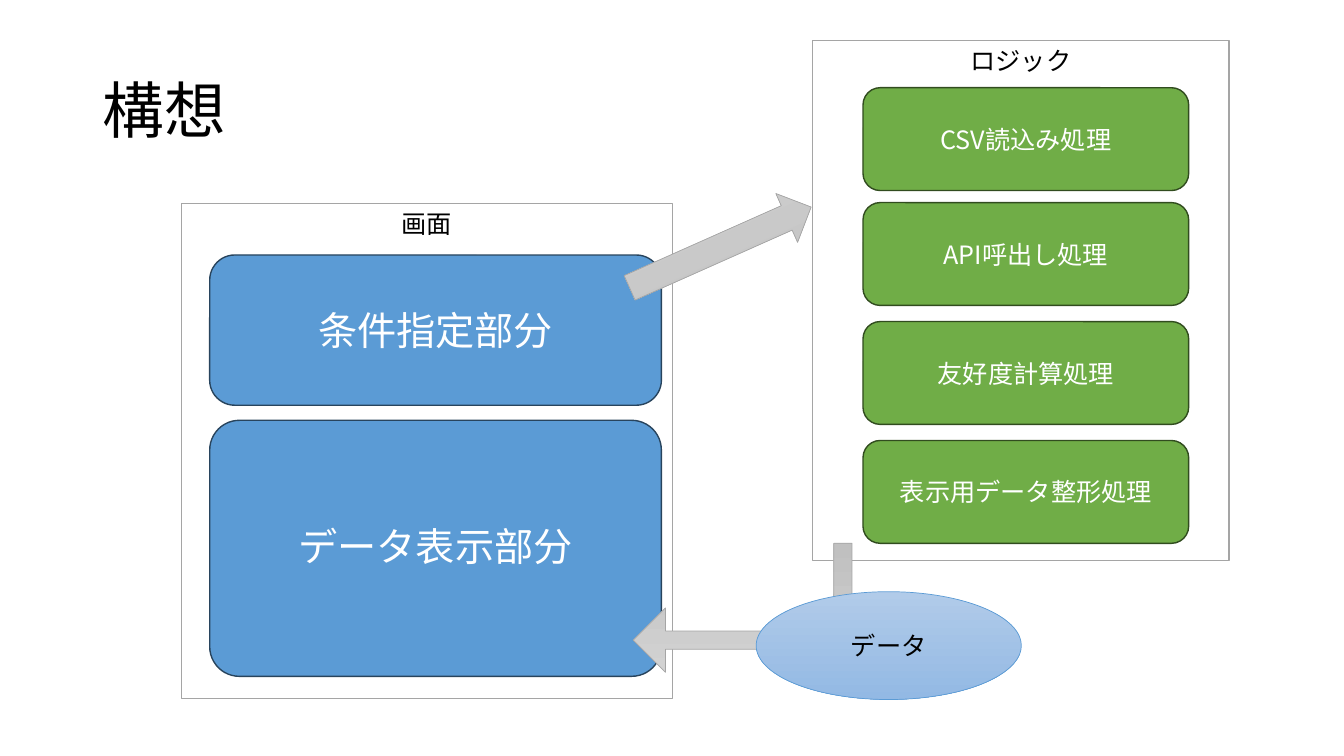
"""Build the concept slide linking the screen, the logic and the data."""
from lxml.etree import SubElement
from pptx import Presentation
from pptx.dml.color import RGBColor
from pptx.enum.shapes import MSO_SHAPE as SHAPE
from pptx.enum.text import MSO_ANCHOR as ANCHOR, MSO_AUTO_SIZE as AUTO, PP_ALIGN as ALIGN
from pptx.oxml.ns import qn
from pptx.util import Inches, Pt

FONT = "Noto Sans CJK JP"
BLACK = RGBColor(0x00, 0x00, 0x00)
WHITE = RGBColor(0xFF, 0xFF, 0xFF)
GRAY = RGBColor(0xA5, 0xA5, 0xA5)
BLUE = RGBColor(0x5B, 0x9B, 0xD5)
DARK_BLUE = RGBColor(0x28, 0x44, 0x5D)
GREEN = RGBColor(0x70, 0xAD, 0x47)
DARK_GREEN = RGBColor(0x31, 0x4C, 0x1F)
GRAY_FADE = (RGBColor(0xD2, 0xD2, 0xD2), RGBColor(0xC0, 0xC0, 0xC0))
BLUE_FADE = (RGBColor(0xB1, 0xCB, 0xE9), RGBColor(0x93, 0xB9, 0xE4))


def write(sp, text, size=18, color=WHITE, align=ALIGN.CENTER, anchor=ANCHOR.MIDDLE,
          wrap=True, spacing=None, before=None):
    tf = sp.text_frame
    tf.word_wrap = wrap
    tf.auto_size = AUTO.NONE
    tf.vertical_anchor = anchor
    p = tf.paragraphs[0]
    p.alignment = align
    p.line_spacing = spacing
    p.space_before = before
    r = p.add_run()
    r.text = text
    r.font.size = Pt(size)
    r.font.color.rgb = color
    r.font.name = FONT
    SubElement(r.font._element, qn("a:ea"), typeface=FONT)


class ConceptSlide:
    def __init__(self, prs):
        self.s = prs.slides.add_slide(prs.slide_layouts[5])

    def title(self, text, box):
        sp = self.s.shapes.title
        sp.left, sp.top, sp.width, sp.height = map(Inches, box)
        write(sp, text, 44, BLACK, ALIGN.LEFT, spacing=0.9)

    def shape(self, kind, box, fill, line, width=1, parent=None, adjust=(), rotation=0):
        sp = (parent or self.s).shapes.add_shape(kind, *map(Inches, box))
        sp.shadow.inherit = False
        sp.rotation = rotation
        for i, value in enumerate(adjust):
            sp.adjustments[i] = value
        if isinstance(fill, RGBColor):
            sp.fill.solid()
            sp.fill.fore_color.rgb = fill
        else:
            sp.fill.gradient()
            sp.fill.gradient_angle = 270
            for stop, color in zip(sp.fill.gradient_stops, fill):
                stop.color.rgb = color
        sp.line.color.rgb = line
        sp.line.width = Pt(width)
        return sp

    def panel(self, text, box, parent=None):
        sp = self.shape(SHAPE.RECTANGLE, box, WHITE, GRAY, parent=parent)
        write(sp, text, color=BLACK, anchor=ANCHOR.TOP, wrap=False)

    def card(self, text, box, fill, line, size=18, parent=None, adjust=(), **style):
        sp = self.shape(SHAPE.ROUNDED_RECTANGLE, box, fill, line, parent=parent, adjust=adjust)
        write(sp, text, size, **style)

    def arrow(self, kind, box, rotation, adjust=()):
        self.shape(kind, box, GRAY_FADE, GRAY, 0.5, adjust=adjust, rotation=rotation)

    def ellipse(self, text, box):
        sp = self.shape(SHAPE.OVAL, box, BLUE_FADE, BLUE, 0.5)
        write(sp, text, color=BLACK)


def main():
    prs = Presentation()
    prs.slide_width, prs.slide_height = Inches(13.33), Inches(7.5)
    slide = ConceptSlide(prs)
    slide.title("構想", (0.92, 0.4, 11.5, 1.45))

    slide.panel("画面", (1.8, 2.02, 4.87, 4.91))
    slide.card("条件指定部分", (2.08, 2.53, 4.48, 1.49), BLUE, DARK_BLUE, 28)
    slide.card("データ表示部分", (2.08, 4.17, 4.48, 2.54), BLUE, DARK_BLUE, 28,
               adjust=(0.116,), spacing=0.9, before=Pt(10))

    logic = slide.s.shapes.add_group_shape()
    slide.panel("ロジック", (8.06, 0.4, 4.13, 5.16), logic)
    steps = {"CSV読込み処理": 0.87, "API呼出し処理": 2.01,
             "友好度計算処理": 3.19, "表示用データ整形処理": 4.37}
    for text, top in steps.items():
        slide.card(text, (8.56, top, 3.23, 1.02), GREEN, DARK_GREEN, parent=logic)

    slide.arrow(SHAPE.RIGHT_ARROW, (6.16, 2.19, 1.97, 0.53), 336)
    slide.arrow(SHAPE.BENT_ARROW, (6.28, 5.39, 2.17, 1.28), 180, (0.141, 0.25, 0.25, 0.438))
    slide.ellipse("データ", (7.5, 5.87, 2.63, 1.07))
    prs.save("out.pptx")


if __name__ == "__main__":
    main()
